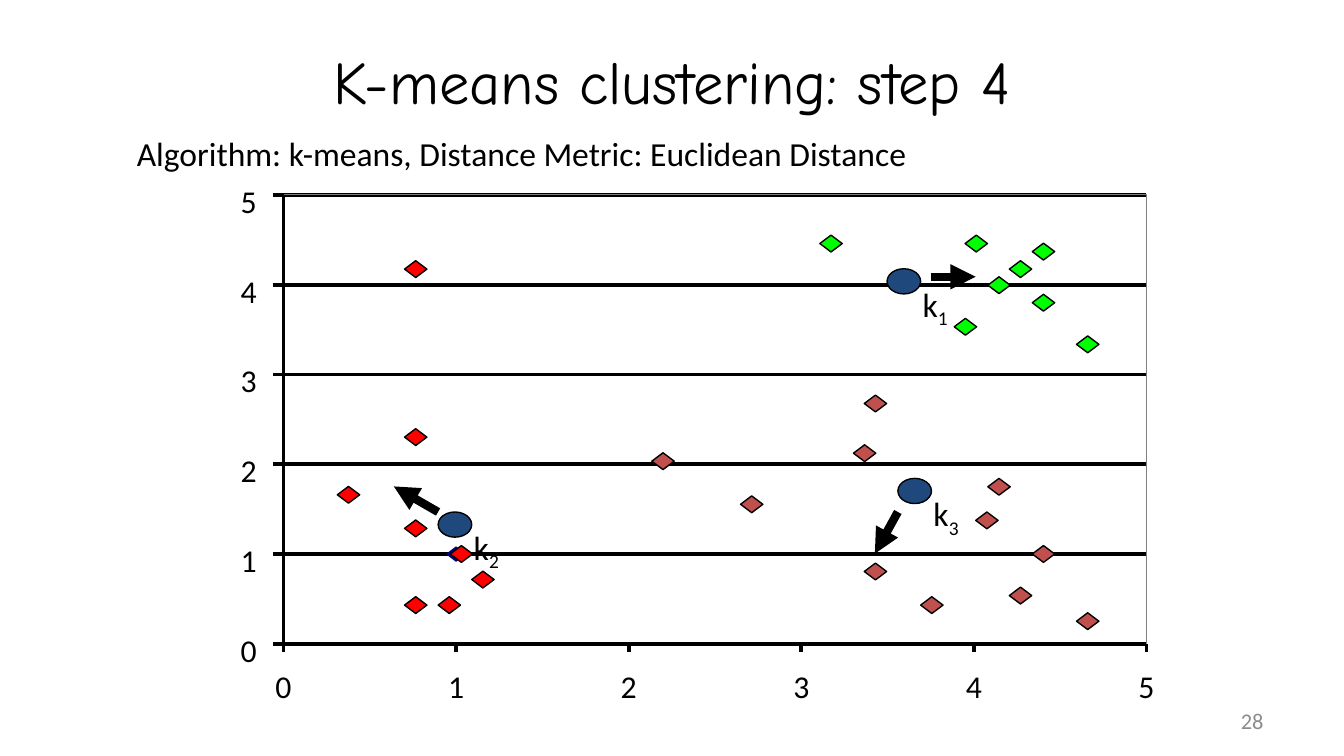
from lxml import etree
from pptx import Presentation
from pptx.dml.color import RGBColor
from pptx.enum import shapes as sh, text as tx
from pptx.oxml.ns import qn
from pptx.util import Pt

# Content
TITLE = "K-means clustering: step 4"
SUBTITLE = "Algorithm: k-means, Distance Metric: Euclidean Distance"
PAGE = "28"
TICKS = range(6)
COLORS = {"black": "000000", "white": "FFFFFF", "frame": "808080", "navy": "000080",
          "centroid": "1F497D", "red": "FF0000", "brown": "C0504D",
          "green": "00FF00", "page": "8C8C8C"}
# Left and top of each point, by cluster
CLUSTERS = {
    "red": [(241.2, 292.3), (252.7, 306), (234.7, 319.7), (216.7, 278.6),
            (216.7, 139.7), (216.7, 229.7), (216.7, 319.7), (180.7, 260.6)],
    "brown": [(349.2, 242.6), (463, 211.7), (463, 301.7), (493.2, 319.7),
              (522.7, 274.3), (457.2, 238.3), (396.7, 265.7), (553, 292.3),
              (540.7, 314.6), (529.2, 256.3), (576.7, 328.3)],
    "green": [(517, 126), (553, 130.3), (540.7, 139.7), (529.2, 148.3),
              (553, 157.7), (576.7, 180), (439.2, 126), (511.2, 170.6)],
}
CENTROIDS = [("1", 475.2, 144), ("2", 234.7, 274.3), ("3", 481, 256.3)]
MOVES = [(234.7, 274.3, 211, 260.6), (481, 274.3, 468.7, 296.6), (499, 148.3, 522.7, 148.3)]

# Plot area
LEFT, TOP, WIDTH, HEIGHT = 151.9, 104.4, 462.3, 240.6
RIGHT, BOTTOM = LEFT + WIDTH, TOP + HEIGHT
X_STEP, Y_STEP = WIDTH / 5, HEIGHT / 5
TICK_Y, TICK_X = 5.8, 4.3
LABEL_W, LABEL_H = 8.64, 20.9

prs = Presentation()
prs.slide_width, prs.slide_height = Pt(720), Pt(405)
slide = prs.slides.add_slide(prs.slide_layouts[5])


def rgb(name):
    return RGBColor.from_string(COLORS[name])


def paint(shape, fill, line, width=0.75):
    shape.shadow.inherit = False
    if fill:
        shape.fill.solid()
        shape.fill.fore_color.rgb = rgb(fill)
    else:
        shape.fill.background()
    if line:
        shape.line.color.rgb = rgb(line)
        shape.line.width = Pt(width)
    else:
        shape.line.fill.background()


def add_mark(parent, kind, box, fill, line="black", width=0.75):
    paint(parent.add_shape(kind, *map(Pt, box)), fill, line, width)


def add_line(parent, x1, y1, x2, y2, width=0, arrow=False):
    line = parent.add_connector(sh.MSO_CONNECTOR.STRAIGHT, *map(Pt, (x1, y1, x2, y2)))
    line.line.color.rgb = rgb("black")
    line.line.width = Pt(width)
    if arrow:
        etree.SubElement(line.line._get_or_add_ln(), qn("a:tailEnd"), type="triangle")
    etree.SubElement(line._element.spPr, qn("a:effectLst"))


def add_run(paragraph, words, size, color="black", font="Calibri"):
    run = paragraph.add_run()
    run.text = words
    run.font.size, run.font.name = Pt(size), font
    run.font.color.rgb = rgb(color)
    return run


def add_text(parent, box, words, size, color="black", align=tx.PP_ALIGN.LEFT,
             wrap=True, inset=True, anchor=tx.MSO_ANCHOR.TOP):
    frame = parent.add_textbox(*map(Pt, box)).text_frame
    frame.word_wrap, frame.vertical_anchor = wrap, anchor
    if not inset:
        frame.margin_left = frame.margin_right = frame.margin_top = frame.margin_bottom = 0
    paragraph = frame.paragraphs[0]
    paragraph.alignment = align
    add_run(paragraph, words, size, color)
    return paragraph


# Plot background, grid and frame
items = slide.shapes
plot = (LEFT, TOP, WIDTH, HEIGHT)
add_mark(items, sh.MSO_SHAPE.RECTANGLE, plot, "white", None)
for tick in TICKS[1:]:
    y = BOTTOM - tick * Y_STEP
    add_line(items, LEFT, y, RIGHT, y)
add_mark(items, sh.MSO_SHAPE.RECTANGLE, plot, None, "frame", 0.63)

# Axes, ticks and their labels
add_line(items, LEFT, TOP, LEFT, BOTTOM)
add_line(items, LEFT, BOTTOM, RIGHT, BOTTOM)
for tick in TICKS:
    x, y = LEFT + tick * X_STEP, BOTTOM - tick * Y_STEP
    add_line(items, LEFT - TICK_Y, y, LEFT, y)
    add_line(items, x, BOTTOM + TICK_X, x, BOTTOM)
    for left, top in ((128.9, y - 7.2), (x - LABEL_W / 2, 357.1)):
        add_text(items, (left, top, LABEL_W, LABEL_H), str(tick), 17,
                 wrap=False, inset=False)

# Seed point at (1, 1)
seed_x, seed_y = LEFT + X_STEP, BOTTOM - Y_STEP
outline = items.build_freeform(Pt(seed_x), Pt(seed_y - 3.8))
outline.add_line_segments([(Pt(seed_x + dx), Pt(seed_y + dy))
                           for dx, dy in ((5, 0), (0, 3.8), (-5, 0))])
paint(outline.convert_to_shape(), "navy", "navy", 0.63)

# Title and subtitle
title = items.title
title.left, title.top, title.width, title.height = map(Pt, (54, 27.4, 612, 31.7))
title.text_frame.vertical_anchor = tx.MSO_ANCHOR.MIDDLE
heading = title.text_frame.paragraphs[0]
heading.alignment = tx.PP_ALIGN.CENTER
add_run(heading, TITLE, 32.4, font="Comic Neue")
add_text(items, (66.2, 67.7, 432.7, 28.8), SUBTITLE, 18, wrap=False)

# Centroids with subscripted names
for index, left, top in CENTROIDS:
    group = items.add_group_shape().shapes
    add_mark(group, sh.MSO_SHAPE.OVAL, (left, top, 18, 13.5), "centroid")
    name = add_text(group, (left + 12, top + 4.4, 41.8, 28.8), "k", 18)
    add_run(name, index, 18)._r.get_or_add_rPr().set("baseline", "-25000")

# Data points
for color, points in CLUSTERS.items():
    for left, top in points:
        add_mark(items, sh.MSO_SHAPE.DIAMOND, (left, top, 12, 9), color)

# Centroid moves
moves = items.add_group_shape().shapes
for move in MOVES:
    add_line(moves, *move, width=4.5, arrow=True)

# Page number
add_text(items, (516.2, 375.1, 167.8, 21.6), PAGE, 12, "page",
         align=tx.PP_ALIGN.RIGHT, anchor=tx.MSO_ANCHOR.MIDDLE)

prs.save("out.pptx")
